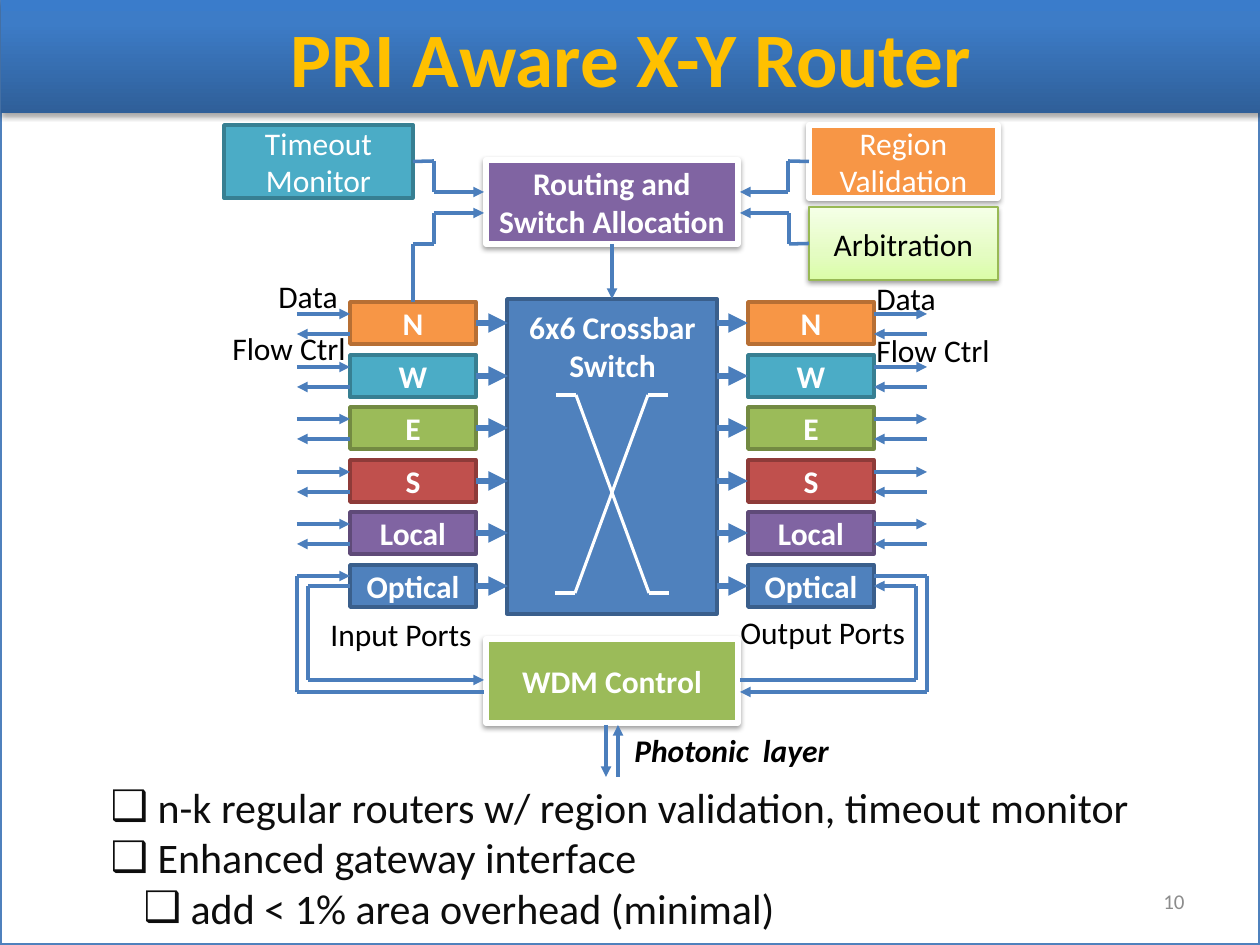
from lxml.etree import SubElement
from pptx import Presentation
from pptx.dml.color import RGBColor
from pptx.enum.shapes import MSO_CONNECTOR, MSO_SHAPE
from pptx.enum.text import MSO_ANCHOR, MSO_AUTO_SIZE, PP_ALIGN
from pptx.oxml.ns import qn
from pptx.util import Emu, Pt

EMU_PER_PX = 914400 / 126
FONT = "Calibri"
WIRE_BLUE = "4B7EBC"
TOP, LEFT, BOTTOM, RIGHT = range(4)  # connection sites of a rectangle

PORTS = [  # label, fill, border
    ("N", "F79646", "B76F34"),
    ("W", "4BACC6", "377F92"),
    ("E", "9BBB59", "738A42"),
    ("S", "C0504D", "8E3B39"),
    ("Local", "8064A2", "5F4A78"),
    ("Optical", "4F81BD", "3A5F8C"),
]
PORT_TOP, PORT_PITCH, PORT_WIDTH, PORT_HEIGHT = 302, 52.6, 126, 42
LEFT_PORT, RIGHT_PORT = 350, 748
AXIS = 612  # vertical axis of symmetry of the router


def px(value):
    return Emu(round(value * EMU_PER_PX))


def color(hex_string):
    return RGBColor.from_string(hex_string)


def place(shape, left, top, width, height):
    shape.left, shape.top = px(left), px(top)
    shape.width, shape.height = px(width), px(height)


def write_text(frame, text, size=18, ink="000000", bold=False, italic=False,
               align=PP_ALIGN.LEFT, anchor=MSO_ANCHOR.TOP, wrap=True):
    frame.auto_size = MSO_AUTO_SIZE.NONE
    frame.word_wrap = wrap
    frame.vertical_anchor = anchor
    frame.text = text
    for paragraph in frame.paragraphs:
        paragraph.alignment = align
        paragraph.space_before = Pt(0)
        for run in paragraph.runs:
            font = run.font
            font.name, font.size = FONT, Pt(size)
            font.bold, font.italic = bold, italic
            font.color.rgb = color(ink)


def add_label(slide, text, left, top, width, height=50, **text_format):
    label = slide.shapes.add_textbox(px(left), px(top), px(width), px(height))
    write_text(label.text_frame, text, **text_format)


def fill_gradient(shape, stops):
    """Fill from bottom to top with (percent, colour) stops."""
    shape.fill.gradient()
    shape.fill.gradient_angle = 90
    stop_list = shape._element.spPr.find(".//" + qn("a:gsLst"))
    for old_stop in list(stop_list):
        stop_list.remove(old_stop)
    for percent, hex_string in stops:
        stop = SubElement(stop_list, qn("a:gs"), pos=str(percent * 1000))
        SubElement(stop, qn("a:srgbClr"), val=hex_string)


def add_shadow(shape, opacity, distance):
    shape.shadow.inherit = False
    effects = shape._element.spPr.find(qn("a:effectLst"))
    outer = SubElement(effects, qn("a:outerShdw"), blurRad=str(Pt(3.1)),
                       dist=str(Pt(distance)), dir="5400000", rotWithShape="0")
    shade = SubElement(outer, qn("a:srgbClr"), val="000000")
    SubElement(shade, qn("a:alpha"), val=str(opacity * 1000))


def add_box(slide, text, bounds, fill, border, border_width=2, ink="FFFFFF",
            bold=True, shadow=False):
    left, top, width, height = bounds
    box = slide.shapes.add_shape(MSO_SHAPE.RECTANGLE, px(left), px(top), px(width), px(height))
    box.shadow.inherit = False
    if isinstance(fill, list):
        fill_gradient(box, fill)
    else:
        box.fill.solid()
        box.fill.fore_color.rgb = color(fill)
    box.line.color.rgb = color(border)
    box.line.width = Pt(border_width)
    if shadow:
        add_shadow(box, 38, 1.6)
    if text:
        frame = box.text_frame
        frame.margin_left = frame.margin_right = px(8)
        write_text(frame, text, ink=ink, bold=bold, align=PP_ALIGN.CENTER,
                   anchor=MSO_ANCHOR.MIDDLE)
    return box


def add_wire(slide, points, start=None, end=None, ink=WIRE_BLUE, width=2, arrow=True):
    """Draw straight segments through points; start and end are (shape, site)."""
    segments = list(zip(points, points[1:]))
    for number, ((x1, y1), (x2, y2)) in enumerate(segments, 1):
        line = slide.shapes.add_connector(MSO_CONNECTOR.STRAIGHT, px(x1), px(y1), px(x2), px(y2))
        line.line.color.rgb = color(ink)
        line.line.width = Pt(width)
        is_last = number == len(segments)
        if start and number == 1:
            line.begin_connect(*start)
        if end and is_last:
            line.end_connect(*end)
        properties = line._element.spPr
        if arrow and is_last:
            SubElement(properties.get_or_add_ln(), qn("a:tailEnd"), type="triangle")
        SubElement(properties, qn("a:effectLst"))


def mirror(points):
    return [(2 * AXIS - x, y) for x, y in points]


def add_title_and_list(slide):
    title, body = slide.placeholders
    place(title, 1, 0, 1260, 113)
    fill_gradient(title, [(0, "2F5F99"), (80, "3D7CC7"), (100, "3A7CCB")])
    add_shadow(title, 35, 1.8)
    write_text(title.text_frame, "PRI Aware X-Y Router", size=44, ink="FFC000", bold=True,
               align=PP_ALIGN.CENTER, anchor=MSO_ANCHOR.MIDDLE)

    place(body, 98, 775, 1080, 165)
    write_text(body.text_frame, "n-k regular routers w/ region validation, timeout monitor\n"
               "Enhanced gateway interface\nadd < 1% area overhead (minimal)",
               size=24, ink="0D0D0D")
    for paragraph, level in zip(body.text_frame.paragraphs, (0, 0, 1)):
        paragraph.level = level
        properties = paragraph._p.get_or_add_pPr()
        properties.set("marL", str(px(47 + 33 * level)))
        properties.set("indent", str(px(-47)))
        SubElement(properties, qn("a:buChar"), char="❑")


def add_ports(slide, left):
    """Add one column of ports with its arrows and return the boxes."""
    is_input = left < AXIS
    outer_x, port_x = (297, left) if is_input else (left + PORT_WIDTH, 927)
    boxes = []
    for row, (name, fill, border) in enumerate(PORTS):
        top = PORT_TOP + round(row * PORT_PITCH)
        box = add_box(slide, name, (left, top, PORT_WIDTH, PORT_HEIGHT), fill, border)
        boxes.append(box)
        middle = top + PORT_HEIGHT // 2
        if is_input:
            add_wire(slide, [(left + PORT_WIDTH, middle), (508, middle)],
                     start=(box, RIGHT), width=3.75)
        else:
            add_wire(slide, [(717, middle), (left, middle)], end=(box, LEFT), width=3.75)
        if name != "Optical":
            add_wire(slide, [(outer_x, top + 12), (port_x, top + 12)])
            add_wire(slide, [(port_x, top + 32), (outer_x, top + 32)])
    return boxes


def main():
    presentation = Presentation()
    presentation.slide_width, presentation.slide_height = px(1260), px(945)
    slide = presentation.slides.add_slide(presentation.slide_layouts[1])

    # Page frame behind everything, title bar and list
    frame = add_box(slide, "", (0, 0, 1260, 945), "FFFFFF", "4F81BD")
    slide.shapes._spTree.insert(2, frame._element)
    add_title_and_list(slide)

    # Control blocks
    timeout = add_box(slide, "Timeout Monitor", (224, 125, 189, 73), "4BACC6", "377F92", bold=False)
    routing = add_box(slide, "Routing and Switch Allocation", (486, 160, 252, 84),
                      "8064A2", "FFFFFF", 3, shadow=True)
    region = add_box(slide, "Region Validation", (809, 125, 189, 73), "F79646", "FFFFFF", 3,
                     bold=False, shadow=True)
    arbitration = add_box(slide, "Arbitration", (809, 207, 189, 73),
                          [(0, "DAFDA7"), (35, "E4FCC2"), (100, "F5FFE7")], "98B955", 0.75,
                          ink="000000", bold=False, shadow=True)
    add_box(slide, "WDM Control", (486, 639, 252, 84), "9BBB59", "FFFFFF", 3, shadow=True)

    # Crossbar switch with its crossing symbol
    crossbar = add_box(slide, "", (507, 299, 210, 315), "4F81BD", "3A5F8C")
    crossing = [(556, 395), (576, 395), (649, 593), (669, 593)]
    for points in (crossing, mirror(crossing)):
        add_wire(slide, points, ink="FFFFFF", width=1.75, arrow=False)
    add_label(slide, "6x6 Crossbar\nSwitch", 516, 302, 193, 89, ink="FFFFFF", bold=True,
              align=PP_ALIGN.CENTER, wrap=False)

    # Ports
    inputs = add_ports(slide, LEFT_PORT)
    outputs = add_ports(slide, RIGHT_PORT)

    # Wires into routing and on to the crossbar
    add_wire(slide, [(413, 161), (434, 161), (434, 192), (484, 192)], start=(timeout, RIGHT))
    add_wire(slide, [(413, 302), (413, 244), (434, 244), (434, 213), (484, 213)],
             start=(inputs[0], TOP))
    add_wire(slide, [(809, 161), (788, 161), (788, 192), (740, 192)], start=(region, LEFT))
    add_wire(slide, [(809, 244), (789, 244), (789, 213), (740, 213)], start=(arbitration, LEFT))
    add_wire(slide, [(612, 244), (612, 299)], start=(routing, BOTTOM), end=(crossbar, TOP))

    # Loops between the optical ports and WDM control
    outer_loop = [(484, 692), (297, 692), (297, 576), (350, 576)]
    inner_loop = [(350, 586), (308, 586), (308, 680), (484, 680)]
    add_wire(slide, outer_loop)
    add_wire(slide, inner_loop, start=(inputs[-1], LEFT))
    add_wire(slide, mirror(outer_loop)[::-1])
    add_wire(slide, mirror(inner_loop)[::-1], end=(outputs[-1], RIGHT))

    # Link to the photonic layer
    add_wire(slide, [(606, 725), (606, 777)])
    add_wire(slide, [(618, 777), (618, 725)])

    # Labels
    for text, left, top, width in [
        ("Data", 266, 271, 86), ("Data", 864, 273, 86),
        ("Flow Ctrl", 220, 323, 140), ("Flow Ctrl", 864, 325, 140),
        ("Input Ports", 318, 609, 169), ("Output Ports", 728, 607, 191),
    ]:
        add_label(slide, text, left, top, width, wrap=False)
    add_label(slide, "Photonic  layer", 622, 725, 222, bold=True, italic=True, wrap=False)
    add_label(slide, "10", 903, 876, 294, size=12, ink="8C8C8C", align=PP_ALIGN.RIGHT,
              anchor=MSO_ANCHOR.MIDDLE)

    presentation.save("out.pptx")


if __name__ == "__main__":
    main()
